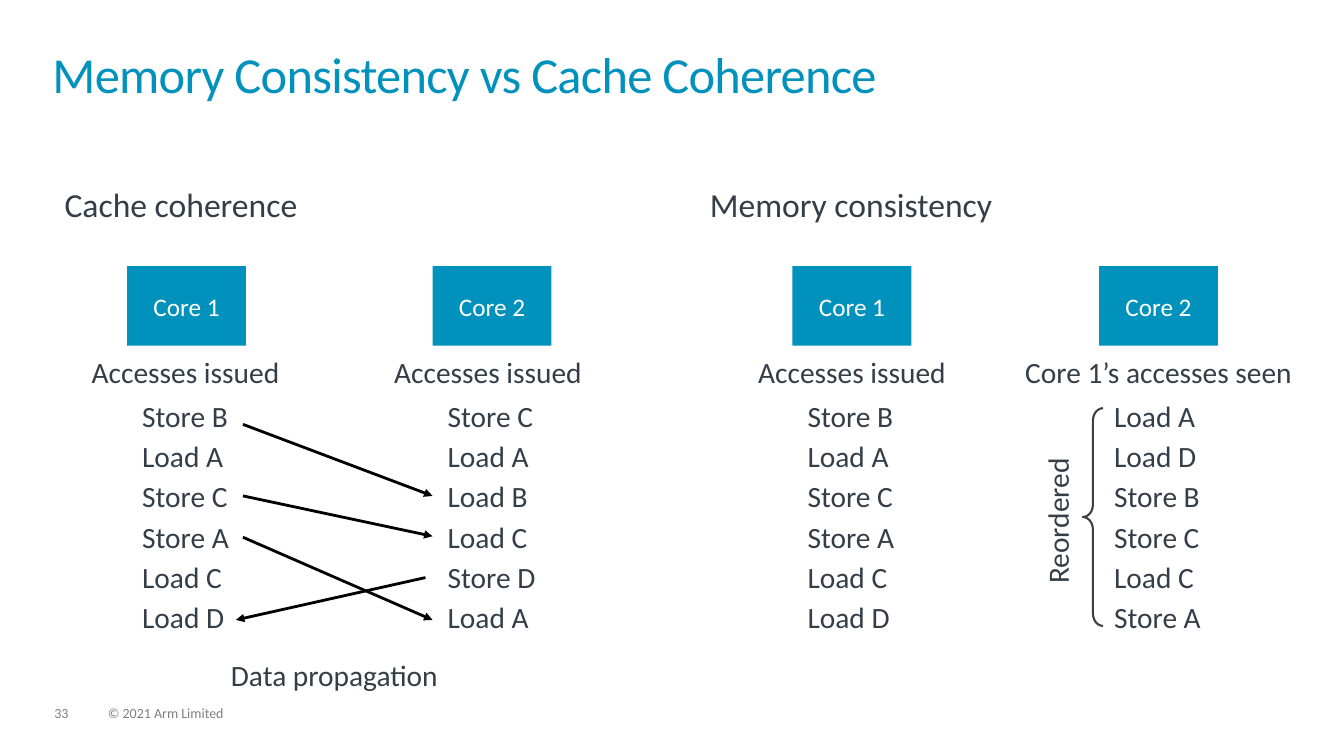
from dataclasses import dataclass

from lxml.etree import SubElement
from pptx import Presentation
from pptx.dml.color import RGBColor
from pptx.enum.shapes import MSO_CONNECTOR as Connector, MSO_SHAPE as Preset
from pptx.enum.text import MSO_ANCHOR as Anchor, MSO_AUTO_SIZE as AutoSize, PP_ALIGN as Align
from pptx.oxml.ns import qn
from pptx.util import Inches, Pt


@dataclass(frozen=True)
class Theme:
    font: str = "Calibri"
    accent: str = "0091BD"
    ink: str = "333E48"
    white: str = "FFFFFF"
    grey: str = "7F7F7F"
    brace: str = "404040"
    arrow: str = "000000"
    title: float = 36
    heading: float = 24
    body: float = 21
    core: float = 18
    footer: float = 10


@dataclass(frozen=True)
class Box:
    left: float
    top: float
    width: float
    height: float

    def inside(self, left, top, width, height):
        """Box whose corner is offset from this one's corner."""
        return Box(self.left + left, self.top + top, width, height)

    def lengths(self):
        return [Inches(v) for v in (self.left, self.top, self.width, self.height)]


THEME = Theme()
CORE_WIDTH, CORE_HEIGHT = 1.18, 0.79
PROGRAM = ["Store B", "Load A", "Store C", "Store A", "Load C", "Load D"]


def add_run(paragraph, text, size, color):
    run = paragraph.add_run()
    run.text = text
    run.font.name = THEME.font
    run.font.size = Pt(size)
    run.font.color.rgb = RGBColor.from_string(color)
    return run


def clear_insets(frame):
    frame.margin_left = frame.margin_top = frame.margin_right = frame.margin_bottom = 0


def add_lines(slide, box, lines, size=THEME.body, color=THEME.ink, align=Align.LEFT):
    shape = slide.shapes.add_textbox(*box.lengths())
    frame = shape.text_frame
    clear_insets(frame)
    frame.word_wrap = False
    for index, line in enumerate(lines):
        paragraph = frame.add_paragraph() if index else frame.paragraphs[0]
        paragraph.alignment = align
        paragraph.line_spacing = 0.9
        paragraph.space_after = Pt(6)
        add_run(paragraph, line, size, color)
    return shape


def fill_placeholder(placeholder, box, text, size, color):
    placeholder.left, placeholder.top, placeholder.width, placeholder.height = box.lengths()
    frame = placeholder.text_frame
    frame.auto_size = AutoSize.NONE
    frame.vertical_anchor = Anchor.TOP
    paragraph = frame.paragraphs[0]
    paragraph.alignment = Align.LEFT
    paragraph.space_before = Pt(0)
    return add_run(paragraph, text, size, color)


def add_title(slide, box, text):
    title = slide.shapes.title
    run = fill_placeholder(title, box, text, THEME.title, THEME.accent)
    run.font._element.set("spc", "-50")
    clear_insets(title.text_frame)
    title.text_frame.paragraphs[0].line_spacing = 0.85


def add_heading(placeholder, box, text):
    properties = placeholder.text_frame.paragraphs[0]._p.get_or_add_pPr()
    properties.set("marL", "0")
    properties.set("indent", "0")
    fill_placeholder(placeholder, box, text, THEME.heading, THEME.ink)
    SubElement(properties, qn("a:buNone"))


def add_core(slide, box, name, caption, caption_box, accesses):
    """A core with a caption and its memory accesses below."""
    core = slide.shapes.add_shape(
        Preset.RECTANGLE, *box.inside(0, 0, CORE_WIDTH, CORE_HEIGHT).lengths())
    core.shadow.inherit = False
    core.fill.solid()
    core.fill.fore_color.rgb = RGBColor.from_string(THEME.accent)
    core.line.fill.background()
    core.text_frame.vertical_anchor = Anchor.MIDDLE
    paragraph = core.text_frame.paragraphs[0]
    paragraph.alignment = Align.CENTER
    add_run(paragraph, name, THEME.core, THEME.white)
    add_lines(slide, caption_box, [caption], align=Align.CENTER)
    add_lines(slide, box.inside(0.15, 1.35, 1, 2.33), accesses)


def add_arrow(slide, start, end):
    arrow = slide.shapes.add_connector(
        Connector.STRAIGHT, *[Inches(v) for v in (*start, *end)])
    arrow.line.color.rgb = RGBColor.from_string(THEME.arrow)
    arrow.line.width = Pt(2)
    SubElement(arrow.line._get_or_add_ln(), qn("a:tailEnd"), type="triangle")
    SubElement(arrow._element.spPr, qn("a:effectLst"))


def add_coherence(slide, box):
    add_core(slide, box, "Core 1", "Accesses issued",
             box.inside(-0.36, 0.91, 1.88, 0.32), PROGRAM)
    add_core(slide, box.inside(3.03, 0, CORE_WIDTH, box.height), "Core 2", "Accesses issued",
             box.inside(2.64, 0.91, 1.88, 0.32),
             ["Store C", "Load A", "Load B", "Load C", "Store D", "Load A"])
    for x1, y1, x2, y2 in [(1.15, 1.57, 3.03, 2.28), (1.15, 2.28, 3.03, 2.68),
                           (1.15, 2.69, 3.03, 3.51), (2.96, 3.09, 1.08, 3.51)]:
        add_arrow(slide, (box.left + x1, box.top + y1), (box.left + x2, box.top + y2))
    add_lines(slide, box.inside(1.03, 3.92, 2.2, 0.32), ["Data propagation"])


def add_consistency(slide, box):
    add_core(slide, box, "Core 1", "Accesses issued",
             box.inside(-0.35, 0.91, 1.88, 0.32), PROGRAM)
    add_core(slide, box.inside(3.04, 0, CORE_WIDTH, box.height), "Core 2",
             "Core 1’s accesses seen", box.inside(2.29, 0.91, 2.68, 0.32),
             ["Load A", "Load D", "Store B", "Store C", "Load C", "Store A"])
    brace = slide.shapes.add_shape(
        Preset.LEFT_BRACE, *box.inside(2.88, 1.41, 0.2, 2.16).lengths())
    brace.adjustments[0] = 0.62
    brace.shadow.inherit = False
    brace.fill.background()
    brace.line.color.rgb = RGBColor.from_string(THEME.brace)
    brace.line.width = Pt(1.5)
    label = add_lines(slide, box.inside(2.02, 2.36, 1.26, 0.32), ["Reordered"])
    label.rotation = 270


def add_footer(slide, box):
    for left, width, text in [(0, 0.34, "33"), (0.53, 5.07, "© 2021 Arm Limited")]:
        add_lines(slide, box.inside(left, 0, width, box.height), [text],
                  THEME.footer, THEME.grey)


def main():
    presentation = Presentation()
    presentation.slide_width, presentation.slide_height = Inches(13.33), Inches(7.5)
    slide = presentation.slides.add_slide(
        presentation.slide_layouts.get_by_name("Two Content"))
    add_title(slide, Box(0.52, 0.52, 12.28, 0.72), "Memory Consistency vs Cache Coherence")
    add_heading(slide.placeholders[1], Box(0.54, 1.77, 5.83, 0.61), "Cache coherence")
    add_heading(slide.placeholders[2], Box(6.94, 1.77, 5.83, 0.61), "Memory consistency")
    add_coherence(slide, Box(1.26, 2.64, 4.52, 4.24))
    add_consistency(slide, Box(7.86, 2.64, 4.97, 3.68))
    add_footer(slide, Box(0.54, 7.01, 5.6, 0.15))
    presentation.save("out.pptx")


if __name__ == "__main__":
    main()
